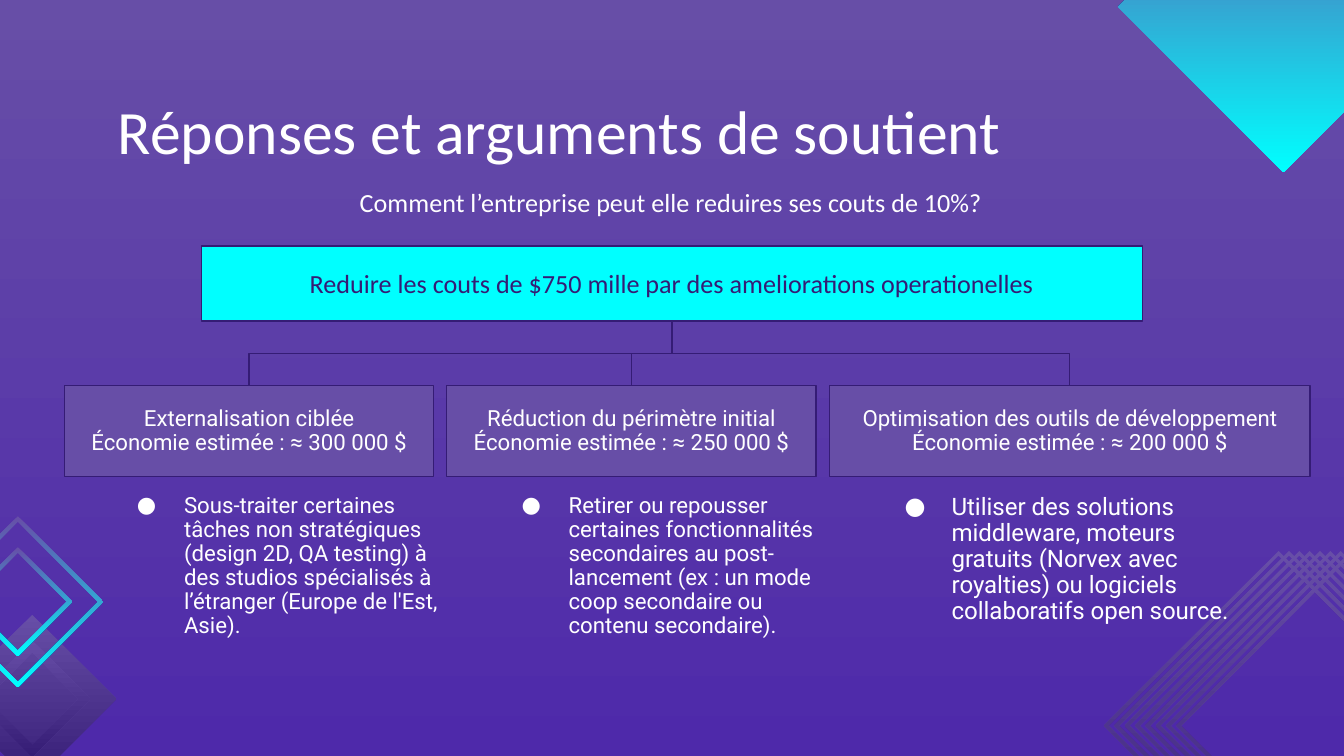
from dataclasses import dataclass

from lxml.etree import SubElement
from pptx import Presentation
from pptx.dml.color import RGBColor as RGB
from pptx.enum.shapes import MSO_CONNECTOR as Link, MSO_SHAPE as Preset
from pptx.enum.text import MSO_ANCHOR as Anchor, MSO_AUTO_SIZE as AutoSize, PP_ALIGN as Align
from pptx.oxml.ns import qn
from pptx.util import Pt


@dataclass(frozen=True)
class Theme:
    white: RGB = RGB(0xFF, 0xFF, 0xFF)
    cyan: RGB = RGB(0x00, 0xFF, 0xFF)
    violet: RGB = RGB(0x67, 0x4E, 0xA7)
    indigo: RGB = RGB(0x35, 0x1C, 0x75)
    base: RGB = RGB(0x4E, 0x29, 0xAA)
    heading_font: str = "Calibri"
    body_font: str = "Roboto"
    title_size: float = 33
    lead_size: float = 14
    body_size: float = 11.9
    large_body_size: float = 12.9
    line_width: float = 0.75


theme = Theme()


def paint_gradient(fill, start, end, angle):
    fill.gradient()
    fill.gradient_angle = angle
    for stop, color, position in zip(fill.gradient_stops, (start, end), (0, 1)):
        stop.color.rgb = color
        stop.position = position


def write(shape, lines, size, font, color, align, anchor=Anchor.MIDDLE, spacing=1.0, bullet=None):
    frame = shape.text_frame
    frame.word_wrap = True
    frame.auto_size = AutoSize.NONE
    frame.vertical_anchor = anchor
    frame.margin_left = frame.margin_right = frame.margin_top = frame.margin_bottom = Pt(7.2)
    paragraph = frame.paragraphs[0]
    paragraph.alignment = align
    paragraph.line_spacing = spacing
    paragraph.space_before = Pt(0)
    if bullet:
        props = paragraph._p.get_or_add_pPr()
        props.set("marL", str(Pt(36)))
        props.set("indent", str(Pt(-25.2)))
        bullet_color = SubElement(props, qn("a:buClr"))
        SubElement(bullet_color, qn("a:srgbClr"), val=str(color))
        SubElement(props, qn("a:buFont"), typeface=font)
        SubElement(props, qn("a:buChar"), char=bullet)
    for number, line in enumerate(lines):
        if number:
            paragraph.add_line_break()
        run = paragraph.add_run()
        run.text = line
        run.font.size = Pt(size)
        run.font.name = font
        run.font.bold = False
        run.font.color.rgb = color


prs = Presentation()
prs.slide_width, prs.slide_height = Pt(720), Pt(405)
slide = prs.slides.add_slide(prs.slide_layouts[4])
shapes = slide.shapes
paint_gradient(slide.background.fill, theme.base, theme.violet, 90)

diamonds = [(685 + 5.54 * step, 388.8, 93.6, 91.1, theme.indigo) for step in range(8)]
diamonds += [
    (17.3, 374.4, 45, 0, theme.indigo),
    (17.3, 374.4, 31.3, 24.8, theme.indigo),
    (9.6, 322.4, 45.8, 43, theme.cyan),
    (9.6, 322.4, 29.2, 26.3, theme.cyan),
    (687.6, 3.6, 88.6, 0, theme.cyan),
]
for x, y, outer, inner, end_color in diamonds:
    outline = shapes.build_freeform(Pt(x), Pt(y - outer), scale=1.0)
    outline.add_line_segments(
        [(Pt(x + outer), Pt(y)), (Pt(x), Pt(y + outer)), (Pt(x - outer), Pt(y))], close=True)
    if inner:
        outline.move_to(Pt(x), Pt(y - inner))
        outline.add_line_segments(
            [(Pt(x - inner), Pt(y)), (Pt(x), Pt(y + inner)), (Pt(x + inner), Pt(y))], close=True)
    diamond = outline.convert_to_shape()
    diamond.shadow.inherit = False
    diamond.line.fill.background()
    paint_gradient(diamond.fill, theme.violet, end_color, 270)

narrative = [
    (0, (56, 42.5, 608, 45.4), "Réponses et arguments de soutient",
     theme.title_size, theme.heading_font, Align.LEFT, Anchor.TOP, 1.0, None),
    (1, (136, 88, 447, 40), "Comment l’entreprise peut elle reduires ses couts de 10%?",
     theme.lead_size, theme.heading_font, Align.CENTER, Anchor.MIDDLE, 1.0, None),
]
arguments = [
    (2, (55.4, 198), "Sous-traiter certaines tâches non stratégiques (design 2D, QA testing) "
     "à des studios spécialisés à l’étranger (Europe de l'Est, Asie).", theme.body_size),
    (3, (261.4, 198), "Retirer ou repousser certaines fonctionnalités secondaires au "
     "post-lancement (ex : un mode coop secondaire ou contenu secondaire).", theme.body_size),
    (4, (466.6, 209.5), "Utiliser des solutions middleware, moteurs gratuits (Norvex avec "
     "royalties) ou logiciels collaboratifs open source.", theme.large_body_size),
]
narrative += [
    (slot, (left, 257.8, width, 105), text, size, theme.body_font, Align.LEFT, Anchor.TOP, 0.9, "●")
    for slot, (left, width), text, size in arguments
]
placeholders = {item.placeholder_format.idx: item for item in slide.placeholders}
for slot, place, text, size, font, align, anchor, spacing, bullet in narrative:
    passage = placeholders[slot]
    passage.left, passage.top, passage.width, passage.height = map(Pt, place)
    write(passage, [text], size, font, theme.white, align, anchor, spacing, bullet)
    shapes._spTree.append(passage._element)

boxes = [
    ((108, 131.8, 504, 40.2), ["Reduire les couts de $750 mille par des ameliorations operationelles"],
     theme.cyan, theme.indigo, theme.lead_size, theme.heading_font, 1.0),
]
measures = [
    (34.4, 198, "Externalisation ciblée", "Économie estimée : ≈ 300 000 $"),
    (239.2, 198, "Réduction du périmètre initial", "Économie estimée : ≈ 250 000 $"),
    (444.3, 257.6, "Optimisation des outils de développement", "Économie estimée : ≈ 200 000 $"),
]
boxes += [
    ((left, 206.5, width, 48.8), [measure, saving],
     theme.violet, theme.white, theme.body_size, theme.body_font, 0.9)
    for left, width, measure, saving in measures
]
tree = []
for place, lines, fill_color, text_color, size, font, spacing in boxes:
    box = shapes.add_shape(Preset.RECTANGLE, *map(Pt, place))
    box.shadow.inherit = False
    box.fill.solid()
    box.fill.fore_color.rgb = fill_color
    box.line.color.rgb = theme.indigo
    box.line.width = Pt(theme.line_width)
    write(box, lines, size, font, text_color, Align.CENTER, spacing=spacing)
    tree.append(box)

goal, *branches = tree
start_x, start_y = goal.left + goal.width // 2, goal.top + goal.height
for branch in branches:
    end_x, end_y = branch.left + branch.width // 2, branch.top
    drop, reach = end_y - start_y, abs(end_x - start_x)
    elbow = shapes.add_connector(Link.ELBOW, start_x, start_y, end_x, end_y)
    elbow.begin_connect(goal, 2)
    elbow.end_connect(branch, 0)
    elbow.left, elbow.top = (start_x + end_x - drop) // 2, (start_y + end_y - reach) // 2
    elbow.width, elbow.height = drop, reach
    rightward = end_x > start_x
    frame = elbow._element.spPr.find(qn("a:xfrm"))
    frame.set("rot", "16200000" if rightward else "5400000")
    frame.set("flipH", "1" if rightward else "0")
    elbow.line.color.rgb = theme.indigo
    elbow.line.width = Pt(theme.line_width)
    SubElement(elbow._element.spPr, qn("a:effectLst"))

prs.save("out.pptx")
